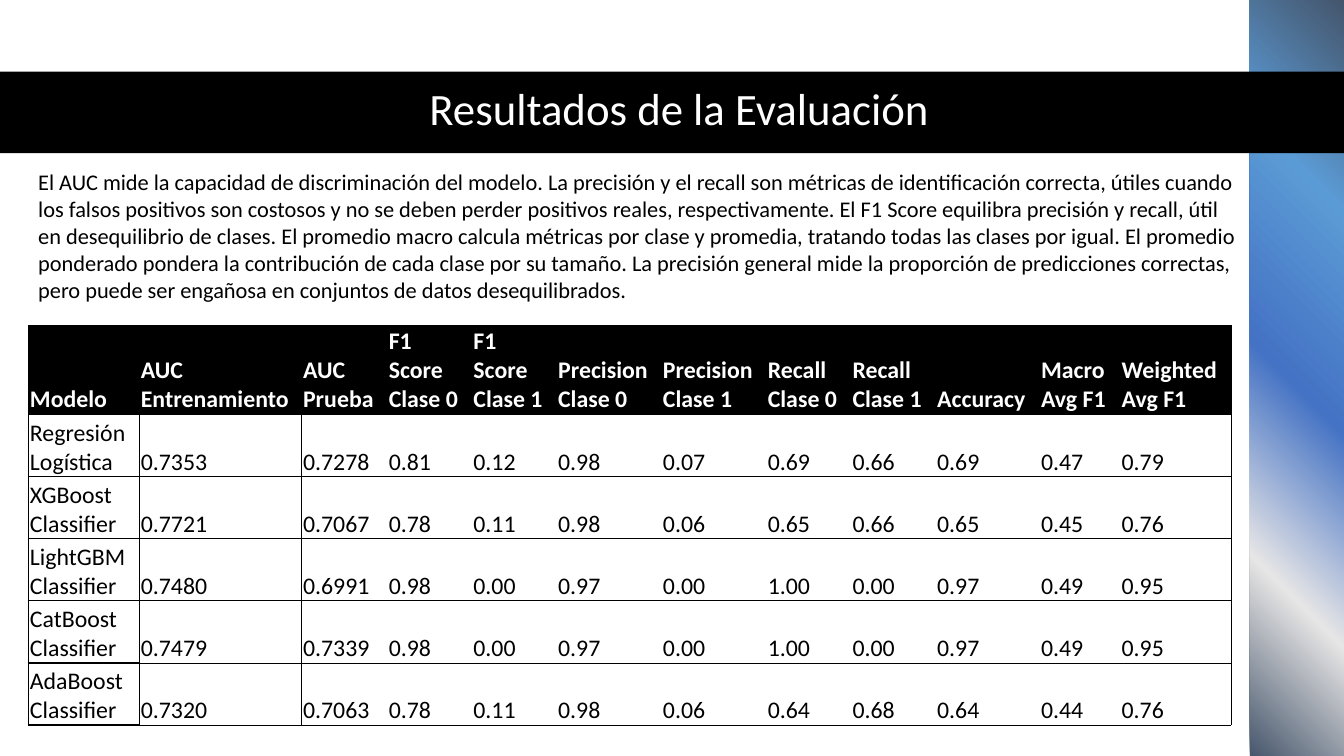
import lxml.etree
import pptx
import pptx.dml.color
import pptx.enum.shapes
import pptx.enum.text
import pptx.oxml
import pptx.oxml.ns
import pptx.util

Pt = pptx.util.Pt
RGBColor = pptx.dml.color.RGBColor
qn = pptx.oxml.ns.qn
RECTANGLE = pptx.enum.shapes.MSO_SHAPE.RECTANGLE
FONT = "Calibri"
COLORS = {
    "black": "000000",
    "white": "FFFFFF",
    "slate": "44546A",
    "silver": "E7E6E6",
    "royal": "4472C4",
    "sky": "5B9BD5",
}
NO_GRID_STYLE = "{2D5ABB26-0587-4C30-8999-92F81FD0307C}"


def format_text(text_frame, size, color, bold=False):
    for paragraph in text_frame.paragraphs:
        for run in paragraph.runs:
            run.font.name = FONT
            run.font.size = Pt(size)
            run.font.bold = bold
            run.font.color.rgb = RGBColor.from_string(COLORS[color])


def add_border(cell, side, width):
    """Draw one side (L, R, T or B, in that order) before the cell is filled."""
    line = lxml.etree.SubElement(cell._tc.get_or_add_tcPr(), qn(f"a:ln{side}"), w=str(Pt(width)))
    fill = lxml.etree.SubElement(line, qn("a:solidFill"))
    lxml.etree.SubElement(fill, qn("a:srgbClr"), val=COLORS["black"])


presentation = pptx.Presentation()
presentation.slide_width = Pt(960)
presentation.slide_height = Pt(540)
slide = presentation.slides.add_slide(presentation.slide_layouts[5])

# Gradient strip on the right edge
strip = slide.shapes.add_shape(RECTANGLE, Pt(892.8), Pt(-2.2), Pt(67.2), Pt(545))
strip.shadow.inherit = False
strip.line.fill.background()
strip.rotation = 180
strip._element.spPr.find(qn("a:xfrm")).set("flipH", "1")
strip.fill.gradient()
gradient = strip._element.spPr.find(qn("a:gradFill"))
stops = gradient.find(qn("a:gsLst"))
for stop in list(stops):
    stops.remove(stop)
for position, color in [(0, "slate"), (24, "silver"), (49, "royal"), (75, "sky"), (100, "slate")]:
    stop = lxml.etree.SubElement(stops, qn("a:gs"), pos=str(position * 1000))
    lxml.etree.SubElement(stop, qn("a:srgbClr"), val=COLORS[color])
gradient.find(qn("a:lin")).set("ang", str(45 * 60000))

# Title on its black band
band = slide.shapes.add_shape(RECTANGLE, 0, Pt(51.1), Pt(960), Pt(58.3))
band.shadow.inherit = False
band.line.fill.background()
band.fill.solid()
band.fill.fore_color.rgb = RGBColor.from_string(COLORS["black"])

title = slide.shapes.title
band._element.addnext(title._element)
title.left, title.top, title.width, title.height = Pt(43.9), Pt(50.4), Pt(882.7), Pt(58.3)
title.text_frame.text = "Resultados de la Evaluación"
title.text_frame.vertical_anchor = pptx.enum.text.MSO_ANCHOR.MIDDLE
title.text_frame.paragraphs[0].alignment = pptx.enum.text.PP_ALIGN.CENTER
title.text_frame.paragraphs[0].line_spacing = 0.9
format_text(title.text_frame, 32, "white")

# Results table
header = [
    "Modelo", "AUC Entrenamiento", "AUC Prueba", "F1 Score Clase 0", "F1 Score Clase 1",
    "Precision Clase 0", "Precision Clase 1", "Recall Clase 0", "Recall Clase 1",
    "Accuracy", "Macro Avg F1", "Weighted Avg F1",
]
results = [
    ("Regresión Logística", "0.7353 0.7278 0.81 0.12 0.98 0.07 0.69 0.66 0.69 0.47 0.79"),
    ("XGBoost Classifier", "0.7721 0.7067 0.78 0.11 0.98 0.06 0.65 0.66 0.65 0.45 0.76"),
    ("LightGBM Classifier", "0.7480 0.6991 0.98 0.00 0.97 0.00 1.00 0.00 0.97 0.49 0.95"),
    ("CatBoost Classifier", "0.7479 0.7339 0.98 0.00 0.97 0.00 1.00 0.00 0.97 0.49 0.95"),
    ("AdaBoost Classifier", "0.7320 0.7063 0.78 0.11 0.98 0.06 0.64 0.68 0.64 0.44 0.76"),
]
rows = [header] + [[model, *scores.split()] for model, scores in results]
column_widths = [79.2, 115.9, 61.2, 60.5, 60.5, 74.9, 74.9, 60.5, 60.5, 74.2, 57.6, 79.2]
header_height, row_height = 63.5, 44.4

frame = slide.shapes.add_table(
    len(rows), len(header), Pt(20.2), Pt(232.4),
    Pt(sum(column_widths)), Pt(header_height + row_height * len(results)),
)
table = frame.table
table.horz_banding = False
table._tbl.tblPr.find(qn("a:tableStyleId")).text = NO_GRID_STYLE
for column, width in zip(table.columns, column_widths):
    column.width = Pt(width)
for row_index, values in enumerate(rows):
    is_header = row_index == 0
    table.rows[row_index].height = Pt(header_height if is_header else row_height)
    for column_index, value in enumerate(values):
        cell = table.cell(row_index, column_index)
        cell.text_frame.text = value
        cell.vertical_anchor = pptx.enum.text.MSO_ANCHOR.BOTTOM
        cell.margin_left = cell.margin_right = cell.margin_top = Pt(1.2)
        cell.margin_bottom = 0
        format_text(cell.text_frame, 17, "white" if is_header else "black", is_header)

        is_model = column_index == 0 and not is_header
        width = 1 if is_model else 0.5
        if column_index == 0 or (column_index == 1 and not is_header):
            add_border(cell, "L", 0.5 if is_header else 1)
        if is_model or column_index == len(header) - 1:
            add_border(cell, "R", width)
        add_border(cell, "T", width)
        add_border(cell, "B", 1 if column_index == 0 else 0.5)
        if is_header:
            cell.fill.solid()
            cell.fill.fore_color.rgb = RGBColor.from_string(COLORS["black"])
        else:
            cell.fill.background()

# Explanation of the metrics
explanation = slide.shapes.add_textbox(Pt(20.2), Pt(116.6), Pt(870.5), Pt(104.4))
explanation.text_frame.word_wrap = True
explanation.text_frame.text = (
    "El AUC mide la capacidad de discriminación del modelo. La precisión y el recall son métricas "
    "de identificación correcta, útiles cuando los falsos positivos son costosos y no se deben "
    "perder positivos reales, respectivamente. El F1 Score equilibra precisión y recall, útil en "
    "desequilibrio de clases. El promedio macro calcula métricas por clase y promedia, tratando "
    "todas las clases por igual. El promedio ponderado pondera la contribución de cada clase por "
    "su tamaño. La precisión general mide la proporción de predicciones correctas, pero puede ser "
    "engañosa en conjuntos de datos desequilibrados."
)
format_text(explanation.text_frame, 16, "black")

presentation.save("out.pptx")
